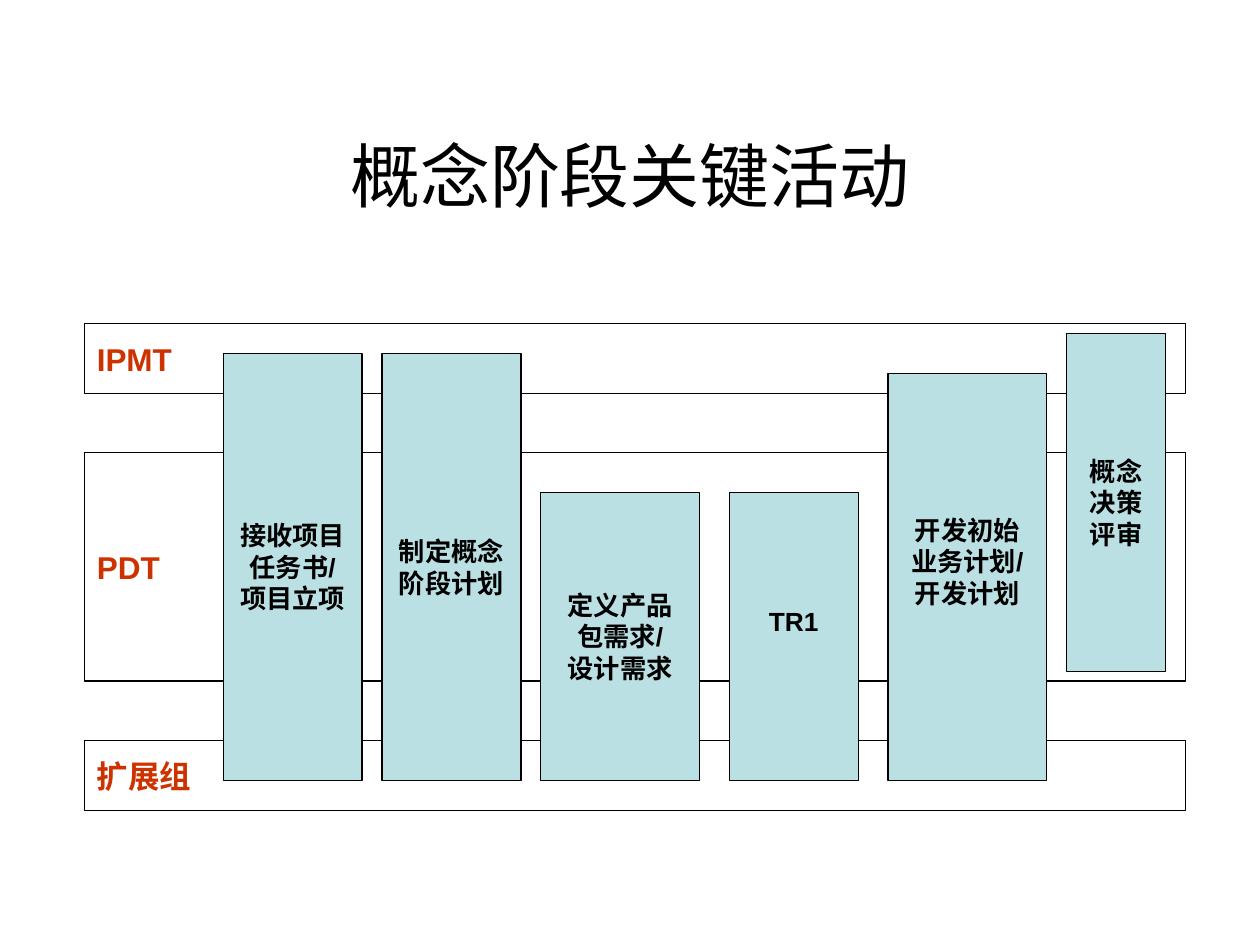
"""Build the slide of key activities in the concept phase."""
import pptx
import pptx.util
import pptx.dml.color
import pptx.enum.shapes
import pptx.enum.text

WIDE, HIGH = 10, 7.5
COLS, ROWS = 55.5, 24.5
HUES = {"ink": "000000", "lane": "CC3300", "bar": "BBE0E3"}
ALIGN = pptx.enum.text.PP_ALIGN
HEAD = {"size": 40, "bold": False, "hue": "ink", "align": ALIGN.CENTER}
LANE = {"size": 18, "bold": True, "hue": "lane", "align": ALIGN.LEFT}
BAR = {"size": 15, "bold": True, "hue": "ink", "align": ALIGN.CENTER}

LANES = [("IPMT", 0, 3.5), ("PDT", 6.5, 11.5), ("扩展组", 21, 3.5)]
BARS = [
    (["接收项目", "任务书/", "项目立项"], (7, 1.5, 7, 21.5), 0.05),
    (["制定概念", "阶段计划"], (15, 1.5, 7, 21.5), 0.05),
    (["定义产品", "包需求/", "设计需求"], (23, 8.5, 8, 14.5), 0.05),
    (["TR1"], (32.5, 8.5, 6.5, 14.5), 0.3),
    (["开发初始", "业务计划/", "开发计划"], (40.5, 2.5, 8, 20.5), 0.3),
    (["概念", "决策", "评审"], (49.5, 0.5, 5, 17), 0.05),
]


def tint(name):
    """Return the named colour."""
    return pptx.dml.color.RGBColor.from_string(HUES[name])


def share(left, top, wide, high):
    """Turn shares of the slide into a box in inches."""
    return left * WIDE, top * HIGH, wide * WIDE, high * HIGH


def cell(box, left, top, wide, high):
    """Turn grid columns and rows within a box into a box in inches."""
    col, row = box[2] / COLS, box[3] / ROWS
    return box[0] + left * col, box[1] + top * row, wide * col, high * row


def write(shape, lines, form, wrap=True, foot=0.05):
    """Set the lines of text and their format in a shape."""
    frame = shape.text_frame
    frame.text = "\n".join(lines)
    inch = pptx.util.Inches
    setup = {
        "word_wrap": wrap,
        "vertical_anchor": pptx.enum.text.MSO_ANCHOR.MIDDLE,
        "margin_left": inch(0.1), "margin_right": inch(0.1),
        "margin_top": inch(0.05), "margin_bottom": inch(foot),
    }
    for key, value in setup.items():
        setattr(frame, key, value)
    face = {"name": "Arial", "size": pptx.util.Pt(form["size"]),
            "bold": form["bold"]}
    for para in frame.paragraphs:
        para.alignment = form["align"]
        font = para.runs[0].font
        for key, value in face.items():
            setattr(font, key, value)
        font.color.rgb = tint(form["hue"])


def block(slide, box, fill=None):
    """Add an outlined rectangle with an optional fill."""
    kind = pptx.enum.shapes.MSO_SHAPE.RECTANGLE
    shape = slide.shapes.add_shape(kind, *map(pptx.util.Inches, box))
    shape.shadow.inherit = False
    shape.line.color.rgb = tint("ink")
    shape.line.width = pptx.util.Pt(0.75)
    if fill:
        shape.fill.solid()
        shape.fill.fore_color.rgb = tint(fill)
    else:
        shape.fill.background()
    return shape


def title(slide, box):
    """Place the slide title."""
    shape = slide.shapes.add_textbox(*map(pptx.util.Inches, box))
    write(shape, ["概念阶段关键活动"], HEAD)


def lanes(slide, box):
    """Place one full-width lane for each team."""
    for name, top, high in LANES:
        write(block(slide, cell(box, 0, top, COLS, high)), [name], LANE)


def bars(slide, box):
    """Place the activities across the lanes."""
    for lines, spot, foot in BARS:
        shape = block(slide, cell(box, *spot), "bar")
        write(shape, lines, BAR, wrap=False, foot=foot)


def main():
    """Build and save the slide."""
    deck = pptx.Presentation()
    deck.slide_width = pptx.util.Inches(WIDE)
    deck.slide_height = pptx.util.Inches(HIGH)
    slide = deck.slides.add_slide(deck.slide_layouts[6])
    title(slide, share(0, 0.13, 1, 0.11))
    chart = 0.67, 2.57, 8.74, 3.86
    lanes(slide, chart)
    bars(slide, chart)
    deck.save("out.pptx")


if __name__ == "__main__":
    main()
